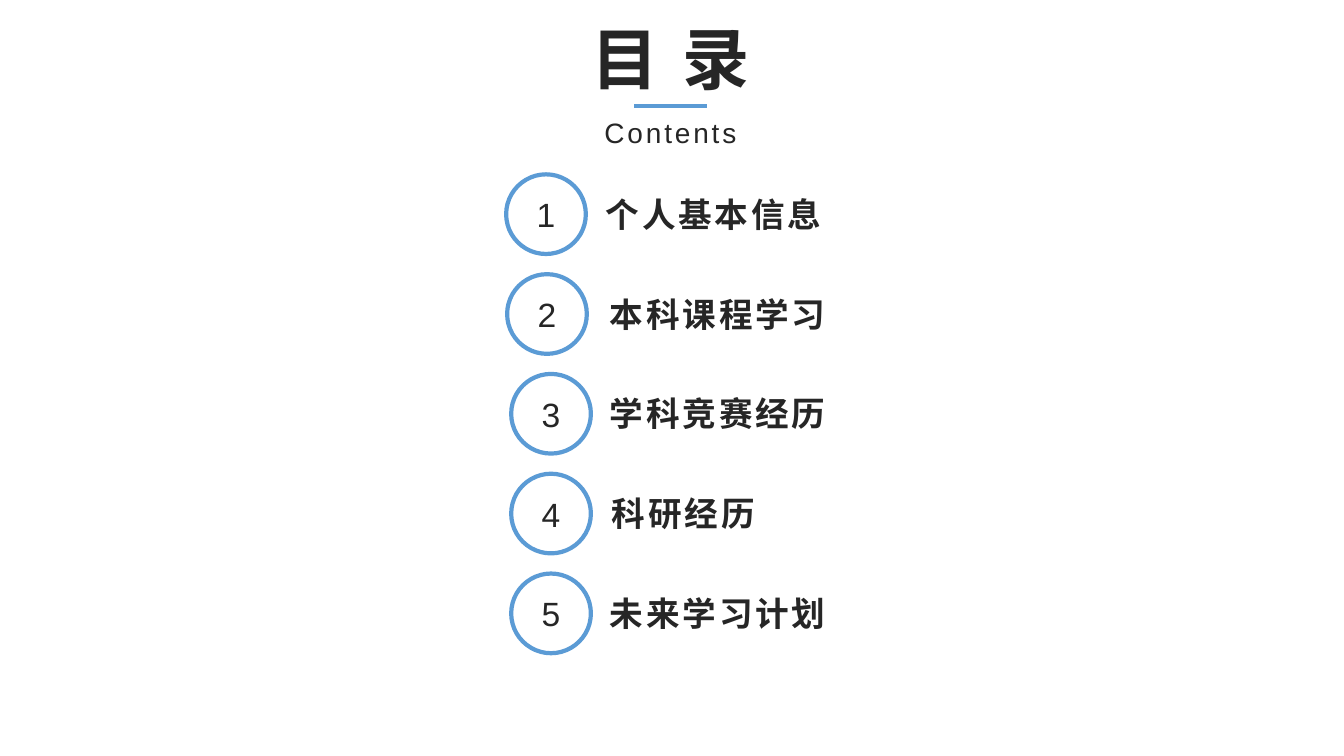
from pptx import Presentation, util as u
from pptx.dml.color import RGBColor
from pptx.enum import dml, lang, shapes, text
from pptx.oxml.ns import qn
from lxml import etree

PX = 9144
INK = RGBColor(0x26, 0x26, 0x26)
BLUE = RGBColor(0x5B, 0x9B, 0xD5)
WHITE = RGBColor(0xFF, 0xFF, 0xFF)

ENTRIES = [
    ("个人基本信息", 502, 591),
    ("本科课程学习", 503, 595),
    ("学科竞赛经历", 507, 595),
    ("科研经历", 507, 597),
    ("未来学习计划", 507, 595),
]
FIRST_TOP, ROW_PITCH = 173, 99
CIRCLE_SIZE, LABEL_WIDTH, LABEL_HEIGHT = 79, 238, 64


def px(*lengths):
    return [u.Emu(length * PX) for length in lengths]


def write(shape, words, size=24, bold=False, spacing=0,
          align=text.PP_ALIGN.LEFT, anchor=text.MSO_ANCHOR.TOP):
    frame = shape.text_frame
    frame.word_wrap = True
    frame.auto_size = text.MSO_AUTO_SIZE.NONE
    frame.vertical_anchor = anchor
    paragraph = frame.paragraphs[0]
    paragraph.alignment = align
    run = paragraph.add_run()
    run.text = words
    font = run.font
    font.name = "Arial"
    font.size = u.Pt(size)
    font.bold = bold
    font.color.rgb = INK
    font.language_id = lang.MSO_LANGUAGE_ID.SIMPLIFIED_CHINESE
    font._element.set("spc", str(spacing * 100))


def outline(line):
    line.color.rgb = BLUE
    line.width = u.Pt(3)
    line.dash_style = dml.MSO_LINE.SOLID


def add_heading(slide, left, top, width):
    center = text.PP_ALIGN.CENTER
    title = slide.shapes.title
    title.left, title.top, title.width, title.height = px(left, top, width, 91)
    write(title, "目 录", size=48, bold=True, spacing=3, align=center)

    rule_y = top + 93
    rule = slide.shapes.add_connector(
        shapes.MSO_CONNECTOR.STRAIGHT,
        *px(left + 101, rule_y, left + width - 101, rule_y))
    outline(rule.line)
    etree.SubElement(rule._element.spPr, qn("a:effectLst"))

    subtitle = slide.shapes.add_textbox(*px(left, top + 98, width, 44))
    write(subtitle, "Contents", size=20, spacing=2, align=center)


def add_entry(slide, number, label, circle_left, label_left, top):
    label_box = slide.shapes.add_textbox(
        *px(label_left, top, LABEL_WIDTH, LABEL_HEIGHT))
    write(label_box, label, bold=True, spacing=2,
          anchor=text.MSO_ANCHOR.BOTTOM)

    circle = slide.shapes.add_shape(
        shapes.MSO_SHAPE.OVAL,
        *px(circle_left, top, CIRCLE_SIZE, CIRCLE_SIZE))
    circle.shadow.inherit = False
    circle.fill.solid()
    circle.fill.fore_color.rgb = WHITE
    outline(circle.line)
    write(circle, str(number), align=text.PP_ALIGN.CENTER,
          anchor=text.MSO_ANCHOR.MIDDLE)


def build_contents(presentation):
    slide = presentation.slides.add_slide(presentation.slide_layouts[5])
    add_heading(slide, 528, 12, 274)
    for index, (label, circle_left, label_left) in enumerate(ENTRIES):
        add_entry(slide, index + 1, label, circle_left, label_left,
                  FIRST_TOP + index * ROW_PITCH)


def main():
    presentation = Presentation()
    presentation.slide_width, presentation.slide_height = px(1333, 750)
    build_contents(presentation)
    presentation.save("out.pptx")


if __name__ == "__main__":
    main()
